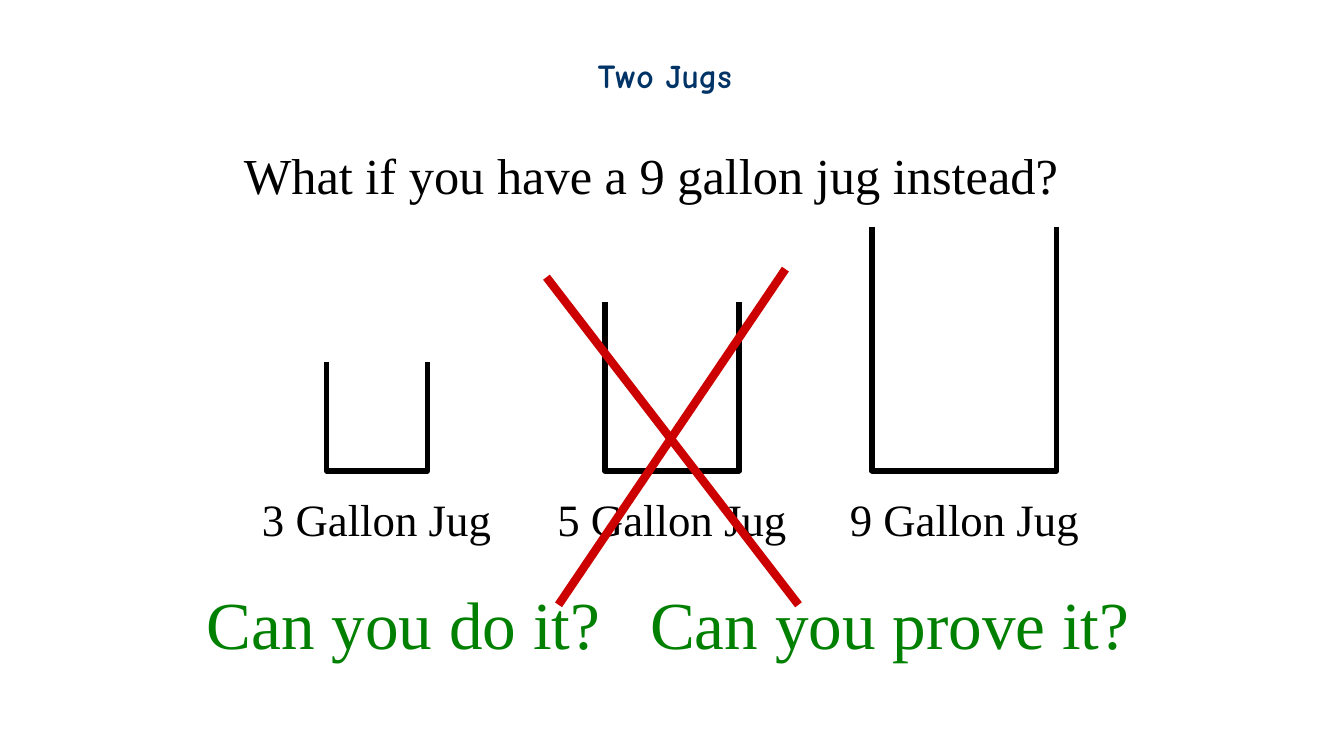
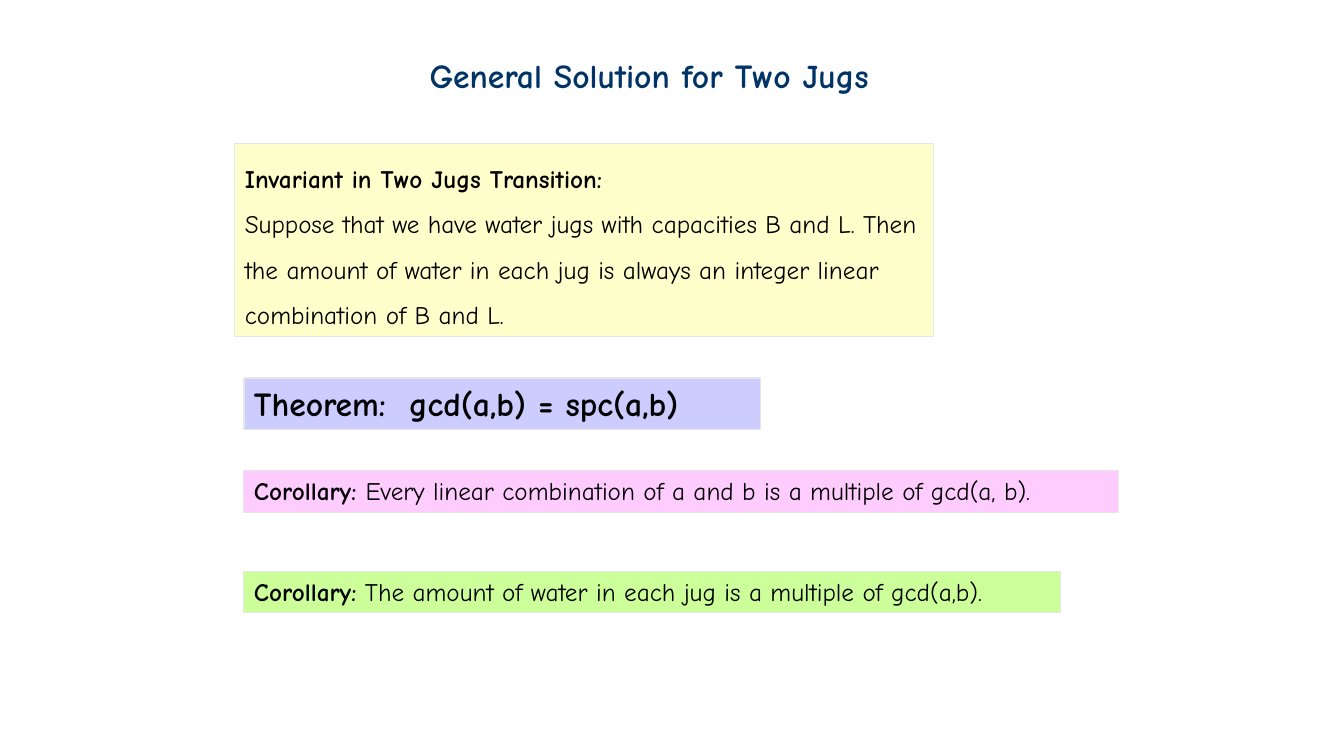
from dataclasses import dataclass

from lxml import etree
from pptx import Presentation
from pptx.dml.color import RGBColor
from pptx.enum.shapes import MSO_CONNECTOR, MSO_SHAPE
from pptx.enum.text import MSO_ANCHOR, MSO_AUTO_SIZE, PP_ALIGN
from pptx.oxml.ns import qn
from pptx.util import Inches, Pt

STRAIGHT = MSO_CONNECTOR.STRAIGHT
RECTANGLE = MSO_SHAPE.RECTANGLE
TOP = MSO_ANCHOR.TOP
NO_FIT = MSO_AUTO_SIZE.NONE
LEFT = PP_ALIGN.LEFT

SERIF = "Times New Roman"
COMIC = "Comic Neue"
BLACK = "000000"
NAVY = "003366"
GREEN = "008000"
RED = "CC0000"
BORDER = "E7E6E6"
TITLE_LAYOUT = 5
TITLE_TOP = 0.49
JUG_BOTTOM = 4.67
LABEL_TOP = 4.83
PUZZLE = "Two Jugs"
FRAME_FORMAT = {"word_wrap": True, "auto_size": NO_FIT, "vertical_anchor": TOP}


@dataclass(frozen=True)
class Run:
    text: str
    bold: bool = False


@dataclass(frozen=True)
class Style:
    font: str
    size: int
    color: str = BLACK
    line_spacing: float = 1.0
    tab: float = 0


@dataclass(frozen=True)
class Box:
    left: float
    top: float
    width: float
    height: float


@dataclass(frozen=True)
class Jug:
    gallons: int
    left: float
    width: float
    height: float
    label_left: float


@dataclass(frozen=True)
class Panel:
    box: Box
    fill: str
    style: Style
    paragraphs: tuple[tuple[Run, ...], ...]


JUGS = (
    Jug(3, 3.24, 1, 1.08, 2.5),
    Jug(5, 6, 1.33, 1.67, 5.43),
    Jug(9, 8.65, 1.83, 2.42, 8.33),
)
CROSS = ((5.42, 2.75, 7.92, 6), (5.54, 6, 7.79, 2.67))
PANELS = (
    Panel(
        Box(2.33, 1.42, 6.93, 1.92),
        "FFFFCC",
        Style(COMIC, 18, line_spacing=1.5),
        (
            (Run(f"Invariant in {PUZZLE} Transition:", True),),
            (
                Run(
                    "Suppose that we have water jugs with capacities B and L. "
                    "Then the amount of water in each jug is always an integer "
                    "linear combination of B and L."
                ),
            ),
        ),
    ),
    Panel(
        Box(2.42, 3.75, 5.12, 0.51),
        "CCCCFF",
        Style(COMIC, 24, tab=1.54),
        ((Run("Theorem:\tgcd(a,b) = spc(a,b)", True),),),
    ),
    Panel(
        Box(2.42, 4.67, 8.67, 0.41),
        "FFCCFF",
        Style(COMIC, 18),
        (
            (
                Run("Corollary: ", True),
                Run("Every linear combination of a and b is a multiple of gcd(a, b)."),
            ),
        ),
    ),
    Panel(
        Box(2.42, 5.67, 8.1, 0.41),
        "CCFF99",
        Style(COMIC, 18),
        (
            (
                Run("Corollary:", True),
                Run(" The amount of water in each jug is a multiple of gcd(a,b)."),
            ),
        ),
    ),
)


def rgb(color: str) -> RGBColor:
    return RGBColor.from_string(color)


def apply_format(target, values: dict) -> None:
    for name, value in values.items():
        setattr(target, name, value)


def box_lengths(box: Box) -> tuple:
    return tuple(Inches(v) for v in (box.left, box.top, box.width, box.height))


def set_line(shape, color: str, width: float) -> None:
    shape.line.color.rgb = rgb(color)
    shape.line.width = Pt(width)


def add_tab_stop(paragraph, position: float) -> None:
    properties = paragraph._p.get_or_add_pPr()
    tab_list = etree.SubElement(properties, qn("a:tabLst"))
    etree.SubElement(tab_list, qn("a:tab"), pos=str(Inches(position)), algn="l")


def write_text(shape, paragraphs: tuple, style: Style) -> None:
    frame = shape.text_frame
    apply_format(frame, FRAME_FORMAT)
    for index, runs in enumerate(paragraphs):
        paragraph = frame.add_paragraph() if index else frame.paragraphs[0]
        if style.tab:
            add_tab_stop(paragraph, style.tab)
        apply_format(paragraph, {"alignment": LEFT, "line_spacing": style.line_spacing})
        for part in runs:
            run = paragraph.add_run()
            run.text = part.text
            apply_format(
                run.font,
                {"name": style.font, "size": Pt(style.size), "bold": part.bold},
            )
            run.font.color.rgb = rgb(style.color)


def add_titled_slide(presentation, title: str, left: float, width: float):
    slide = presentation.slides.add_slide(presentation.slide_layouts[TITLE_LAYOUT])
    shape = slide.shapes.title
    lengths = box_lengths(Box(left, TITLE_TOP, width, 0.5))
    apply_format(shape, dict(zip(("left", "top", "width", "height"), lengths)))
    write_text(shape, ((Run(title, True),),), Style(COMIC, 24, NAVY))
    return slide


def add_text(slide, text: str, box: Box, style: Style) -> None:
    shape = slide.shapes.add_textbox(*box_lengths(box))
    write_text(shape, ((Run(text),),), style)


def add_jug(slide, jug: Jug) -> None:
    right = jug.left + jug.width
    rim = JUG_BOTTOM - jug.height
    outline = slide.shapes.build_freeform(Inches(jug.left), Inches(rim))
    corners = ((jug.left, JUG_BOTTOM), (right, JUG_BOTTOM), (right, rim))
    outline.add_line_segments([(Inches(x), Inches(y)) for x, y in corners], close=False)
    shape = outline.convert_to_shape()
    shape.shadow.inherit = False
    shape.fill.background()
    set_line(shape, BLACK, 4)
    add_text(
        slide,
        f"{jug.gallons} Gallon Jug",
        Box(jug.label_left, LABEL_TOP, 2.6, 0.64),
        Style(SERIF, 32),
    )


def add_stroke(slide, ends: tuple) -> None:
    connector = slide.shapes.add_connector(STRAIGHT, *(Inches(v) for v in ends))
    set_line(connector, RED, 6)
    etree.SubElement(connector._element.spPr, qn("a:effectLst"))


def add_panel(slide, panel: Panel) -> None:
    shape = slide.shapes.add_shape(RECTANGLE, *box_lengths(panel.box))
    shape.shadow.inherit = False
    shape.fill.solid()
    shape.fill.fore_color.rgb = rgb(panel.fill)
    set_line(shape, BORDER, 0.75)
    write_text(shape, panel.paragraphs, panel.style)


def build_jug_slide(presentation) -> None:
    slide = add_titled_slide(presentation, PUZZLE, 5.83, 1.8)
    add_text(
        slide,
        "What if you have a 9 gallon jug instead?",
        Box(2.32, 1.38, 8.5, 0.71),
        Style(SERIF, 36),
    )
    for jug in JUGS:
        add_jug(slide, jug)
    for ends in CROSS:
        add_stroke(slide, ends)
    add_text(
        slide,
        "Can you do it?\tCan you prove it?",
        Box(1.95, 5.73, 9.6, 0.9),
        Style(SERIF, 48, GREEN, tab=4.4),
    )


def build_solution_slide(presentation) -> None:
    slide = add_titled_slide(
        presentation, f"General Solution for {PUZZLE}", 4.16, 5.09
    )
    for panel in PANELS:
        add_panel(slide, panel)


def main() -> None:
    presentation = Presentation()
    presentation.slide_width = Inches(13.33)
    presentation.slide_height = Inches(7.5)
    build_jug_slide(presentation)
    build_solution_slide(presentation)
    presentation.save("out.pptx")


if __name__ == "__main__":
    main()
